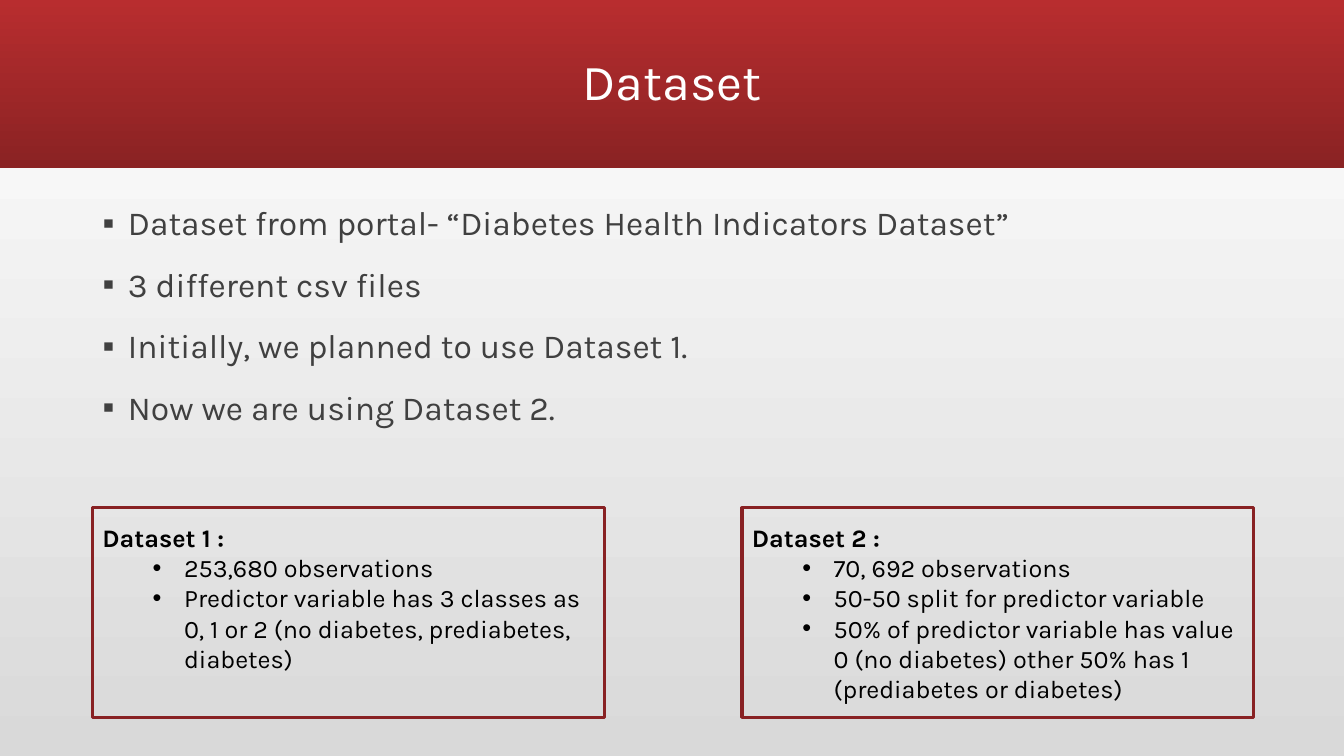
"""Build the Dataset slide: a title band, a bullet list and two framed summaries."""
from dataclasses import dataclass

from lxml.etree import SubElement
from pptx import Presentation
from pptx.dml.color import RGBColor
from pptx.dml.fill import FillFormat
from pptx.enum.shapes import MSO_SHAPE as Preset
from pptx.enum.text import MSO_ANCHOR as Anchor, MSO_AUTO_SIZE as AutoSize, PP_ALIGN as Align
from pptx.oxml.ns import qn
from pptx.slide import Slide
from pptx.text.text import TextFrame
from pptx.util import Cm, Length, Pt

FONT = "Karla"
WHITE = RGBColor(0xFF, 0xFF, 0xFF)
BLACK = RGBColor(0, 0, 0)
CHARCOAL = RGBColor(0x40, 0x40, 0x40)
SILVER = RGBColor(0xD9, 0xD9, 0xD9)
RED = RGBColor(0xB8, 0x2D, 0x2F)
DARK_RED = RGBColor(0x8A, 0x22, 0x23)
FRAME_RED = RGBColor(0x88, 0x21, 0x23)


@dataclass(frozen=True)
class Summary:
    left: Length
    heading: str
    points: tuple[str, ...]


LIST_ITEMS = (
    "Dataset from portal- “Diabetes Health Indicators Dataset”",
    "3 different csv files",
    "Initially, we planned to use Dataset 1.",
    "Now we are using Dataset 2.",
)
SUMMARIES = (
    Summary(Cm(2.33), "Dataset 1 :", (
        "253,680 observations",
        "Predictor variable has 3 classes as 0, 1 or 2 (no diabetes, prediabetes, diabetes)",
    )),
    Summary(Cm(18.7), "Dataset 2 :", (
        "70, 692 observations",
        "50-50 split for predictor variable",
        "50% of predictor variable has value 0 (no diabetes) other 50% has 1 "
        "(prediabetes or diabetes)",
    )),
)


def write(frame: TextFrame, text: str, *, size: int, color: RGBColor, bold: bool = False,
          align: Align = Align.LEFT, line_spacing: float = 1.0, before: int = 0,
          bullet: str = "", indent: Length = Cm(0), hanging: Length = Cm(0),
          level: int = 0) -> None:
    """Add a formatted paragraph, using the first one while it is empty."""
    para = frame.paragraphs[0] if not frame.text else frame.add_paragraph()
    para.level = level
    para.alignment = align
    para.line_spacing = line_spacing
    para.space_before = Pt(before)
    para.space_after = Pt(0)
    if bullet:
        properties = para._p.get_or_add_pPr()
        properties.set("marL", str(indent))
        properties.set("indent", str(-hanging))
        SubElement(properties, qn("a:buFont")).set("typeface", "Arial")
        SubElement(properties, qn("a:buChar")).set("char", bullet)
    span = para.add_run()
    span.text = text
    span.font.name = FONT
    span.font.size = Pt(size)
    span.font.bold = bold
    span.font.color.rgb = color


def shade(fill: FillFormat, first: RGBColor, last: RGBColor, angle: int) -> None:
    """Apply a two-colour linear gradient."""
    fill.gradient()
    fill.gradient_angle = angle
    for stop, color, position in zip(fill.gradient_stops, (first, last), (0, 1)):
        stop.color.rgb = color
        stop.position = position


def add_band(page: Slide, width: Length) -> None:
    """Place the red band behind everything else."""
    band = page.shapes.add_shape(Preset.RECTANGLE, 0, 0, width, Cm(4.23))
    band.shadow.inherit = False
    band.line.fill.background()
    shade(band.fill, RED, DARK_RED, 270)
    page.shapes._spTree.insert(2, band._element)


def fill_title(page: Slide) -> None:
    """Move and fill the title placeholder."""
    title = page.shapes.title
    title.left, title.top, title.width, title.height = Cm(2.97), Cm(0.28), Cm(27.94), Cm(3.68)
    frame = title.text_frame
    frame.auto_size = AutoSize.NONE
    frame.vertical_anchor = Anchor.MIDDLE
    write(frame, "Dataset", size=36, color=WHITE, align=Align.CENTER, line_spacing=0.9)


def fill_list(page: Slide) -> None:
    """Move and fill the body placeholder."""
    body = page.placeholders[1]
    body.left, body.top, body.width, body.height = Cm(2.33), Cm(5.08), Cm(28.78), Cm(12.7)
    frame = body.text_frame
    frame.auto_size = AutoSize.NONE
    frame.vertical_anchor = Anchor.TOP
    for index, item in enumerate(LIST_ITEMS):
        write(frame, item, size=24, color=CHARCOAL, line_spacing=0.9,
              before=18 if index else 0, bullet="▪", indent=Cm(0.64), hanging=Cm(0.64))


def add_summary(page: Slide, summary: Summary) -> None:
    """Draw one framed dataset summary."""
    box = page.shapes.add_shape(Preset.RECTANGLE, summary.left, Cm(12.8), Cm(12.9), Cm(5.28))
    box.shadow.inherit = False
    box.fill.background()
    box.line.color.rgb = FRAME_RED
    box.line.width = Pt(2.25)
    frame = box.text_frame
    frame.word_wrap = True
    frame.vertical_anchor = Anchor.TOP
    frame.margin_top = Cm(0.36)
    write(frame, summary.heading, size=18, color=BLACK, bold=True)
    for point in summary.points:
        write(frame, point, size=18, color=BLACK, level=1,
              bullet="•", indent=Cm(2.06), hanging=Cm(0.79))


def main() -> None:
    """Build and save the deck."""
    deck = Presentation()
    deck.slide_width, deck.slide_height = Cm(33.87), Cm(19.05)
    page = deck.slides.add_slide(deck.slide_layouts[1])
    shade(page.background.fill, SILVER, WHITE, 90)
    add_band(page, deck.slide_width)
    fill_title(page)
    fill_list(page)
    for summary in SUMMARIES:
        add_summary(page, summary)
    deck.save("out.pptx")


if __name__ == "__main__":
    main()
